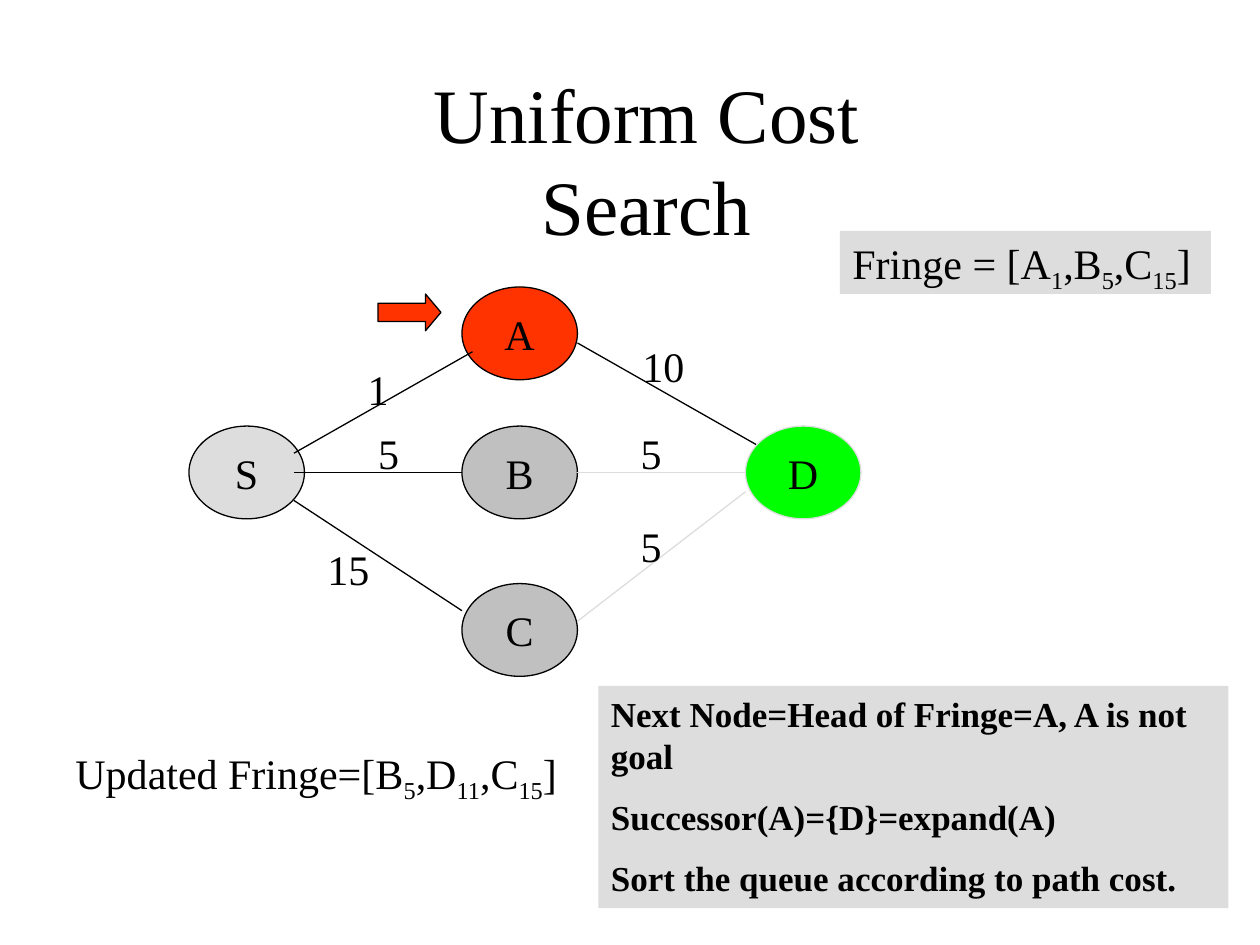
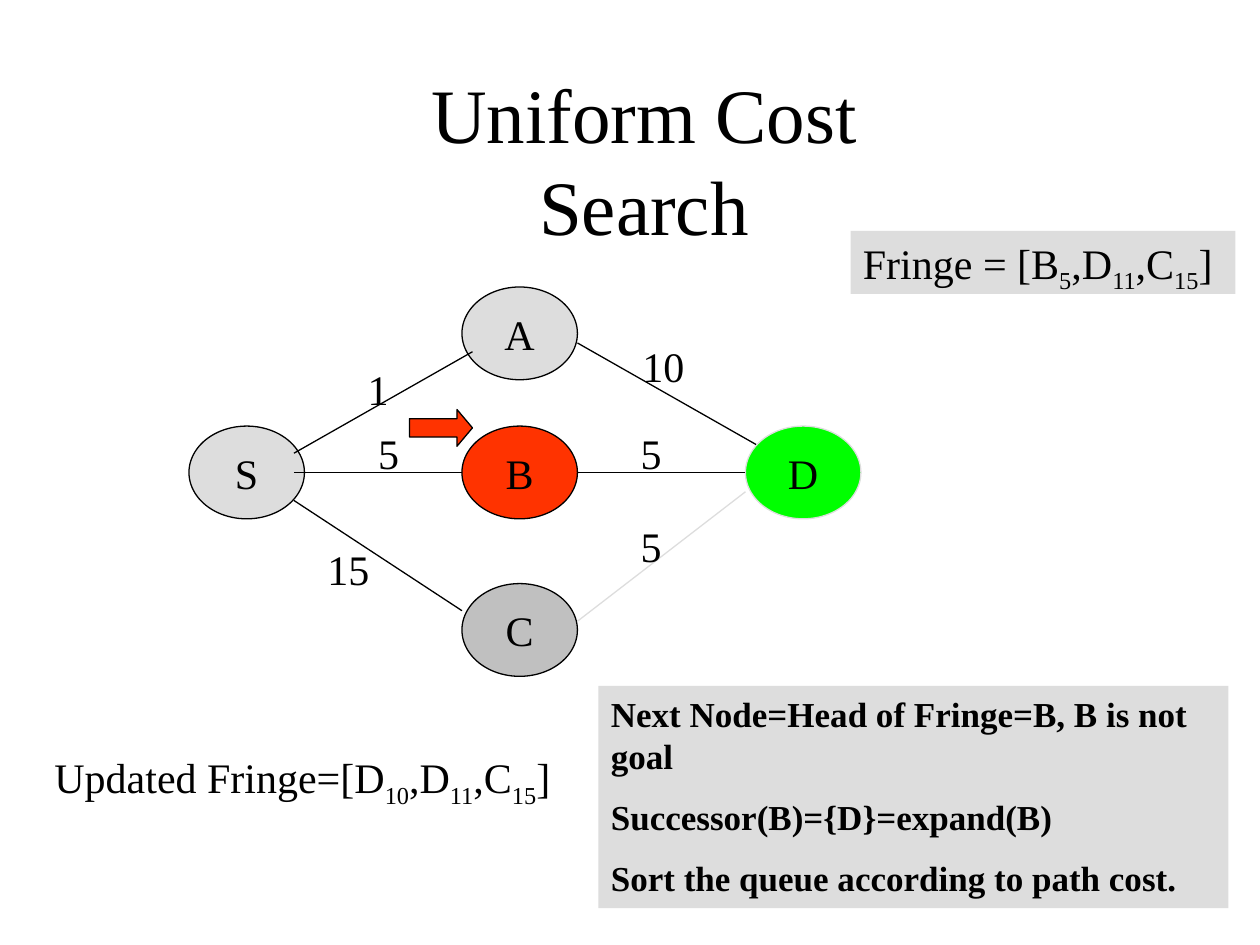
from dataclasses import dataclass
from typing import NamedTuple

from lxml import etree
from pptx import Presentation
from pptx.dml.color import RGBColor
from pptx.enum.shapes import MSO_CONNECTOR, MSO_SHAPE
from pptx.enum.text import MSO_ANCHOR, PP_ALIGN
from pptx.oxml.ns import qn
from pptx.util import Pt

OVAL, RECTANGLE, ARROW = MSO_SHAPE.OVAL, MSO_SHAPE.RECTANGLE, MSO_SHAPE.RIGHT_ARROW
STRAIGHT = MSO_CONNECTOR.STRAIGHT
LEFT, CENTER = PP_ALIGN.LEFT, PP_ALIGN.CENTER
TOP, MIDDLE = MSO_ANCHOR.TOP, MSO_ANCHOR.MIDDLE


@dataclass(frozen=True)
class Theme:
    font: str = "Times New Roman"
    ink: RGBColor = RGBColor(0x00, 0x00, 0x00)
    paper: RGBColor = RGBColor(0xFF, 0xFF, 0xFF)
    pale: RGBColor = RGBColor(0xDD, 0xDD, 0xDD)
    waiting: RGBColor = RGBColor(0xC0, 0xC0, 0xC0)
    active: RGBColor = RGBColor(0xFF, 0x33, 0x00)
    goal: RGBColor = RGBColor(0x00, 0xFF, 0x00)
    title_size: float = 44
    body_size: float = 24
    note_size: float = 20
    note_gap: float = 11
    stroke: float = 0.75


THEME = Theme()


class Box(NamedTuple):
    left: float
    top: float
    width: float
    height: float

    def lengths(self) -> list[Pt]:
        return [Pt(value) for value in self]


class Point(NamedTuple):
    x: float
    y: float


class Edge(NamedTuple):
    source: str
    start: Point
    end: Point
    cost: int
    cost_at: Point


class Entry(NamedTuple):
    """A node waiting in the fringe, with its path cost."""
    node: str
    cost: int


@dataclass(frozen=True)
class Step:
    head: str
    visited: str
    title_left: float
    fringe: list[Entry]
    fringe_box: Box
    updated: list[Entry]
    updated_box: Box
    pointer: Point


NODE_WIDTH, NODE_HEIGHT = 66, 53
START, GOAL = "S", "D"
NODES = {
    START: Point(108, 243.5),
    "A": Point(264, 164),
    "B": Point(264, 243.5),
    "C": Point(264, 333.5),
    GOAL: Point(426, 243.5),
}
EDGES = [
    Edge(START, Point(168, 259), Point(270, 201), 1, Point(203, 204)),
    Edge(START, Point(168, 270), Point(264, 270), 5, Point(209, 241)),
    Edge(START, Point(168, 286), Point(264, 349), 15, Point(180, 307)),
    Edge("A", Point(330, 196), Point(432, 254), 10, Point(360, 191)),
    Edge("B", Point(330, 270), Point(426, 270), 5, Point(359, 241)),
    Edge("C", Point(330, 355), Point(426, 281), 5, Point(359, 294)),
]
NOTES_BOX = Box(342, 392, 360, 127)

STEPS = [
    Step(
        head="A", visited=START, title_left=176.5,
        fringe=[Entry("A", 1), Entry("B", 5), Entry("C", 15)],
        fringe_box=Box(480, 132, 212, 36),
        updated=[Entry("B", 5), Entry("D", 11), Entry("C", 15)],
        updated_box=Box(36, 423.5, 295, 36),
        pointer=Point(216, 168),
    ),
    Step(
        head="B", visited=START + "A", title_left=175,
        fringe=[Entry("B", 5), Entry("D", 11), Entry("C", 15)],
        fringe_box=Box(486, 132, 220, 36),
        updated=[Entry("D", 10), Entry("D", 11), Entry("C", 15)],
        updated_box=Box(24, 426, 304.5, 36),
        pointer=Point(234, 234),
    ),
]


def add_run(paragraph, text: str, size: float, bold: bool = False,
            subscript: bool = False) -> None:
    run = paragraph.add_run()
    run.text = text
    run.font.name = THEME.font
    run.font.size = Pt(size)
    run.font.bold = bold
    run.font.color.rgb = THEME.ink
    if subscript:
        run._r.get_or_add_rPr().set("baseline", "-25000")


def first_paragraph(shape, align=LEFT, anchor=TOP, wrap: bool = False):
    """Set the frame up and return its first paragraph."""
    frame = shape.text_frame
    frame.word_wrap = wrap
    frame.vertical_anchor = anchor
    paragraph = frame.paragraphs[0]
    paragraph.alignment = align
    return paragraph


def add_figure(slide, kind, box: Box, fill: RGBColor, line: RGBColor | None = None):
    figure = slide.shapes.add_shape(kind, *box.lengths())
    figure.shadow.inherit = False
    figure.fill.solid()
    figure.fill.fore_color.rgb = fill
    if line is None:
        figure.line.fill.background()
    else:
        figure.line.color.rgb = line
        figure.line.width = Pt(THEME.stroke)
    return figure


def add_title(slide, left: float) -> None:
    title = slide.shapes.add_textbox(*Box(left, 34.5, 386, 60).lengths())
    add_run(first_paragraph(title, CENTER, wrap=True), "Uniform Cost Search",
            THEME.title_size)


def add_node(slide, name: str, step: Step) -> None:
    if name == step.head:
        fill = THEME.active
    elif name == GOAL:
        fill = THEME.goal
    else:
        fill = THEME.pale if name in step.visited else THEME.waiting
    outline = THEME.pale if name == GOAL else THEME.ink
    box = Box(*NODES[name], NODE_WIDTH, NODE_HEIGHT)
    node = add_figure(slide, OVAL, box, fill, outline)
    add_run(first_paragraph(node, CENTER, MIDDLE), name, THEME.body_size)


def add_edge(slide, edge: Edge, expanded: bool) -> None:
    ends = [Pt(value) for value in (*edge.start, *edge.end)]
    line = slide.shapes.add_connector(STRAIGHT, *ends)
    line.line.color.rgb = THEME.ink if expanded else THEME.pale
    line.line.width = Pt(THEME.stroke)
    etree.SubElement(line._element.spPr, qn("a:effectLst"))


def add_cost(slide, edge: Edge) -> None:
    text = str(edge.cost)
    box = Box(*edge.cost_at, 14.5 + 12 * len(text), 36)
    cost = slide.shapes.add_textbox(*box.lengths())
    add_run(first_paragraph(cost), text, THEME.body_size)


def add_fringe(slide, label: str, entries: list[Entry], box: Box, fill: RGBColor) -> None:
    paragraph = first_paragraph(add_figure(slide, RECTANGLE, box, fill))
    lead = label + "["
    for entry in entries:
        add_run(paragraph, lead + entry.node, THEME.body_size)
        add_run(paragraph, str(entry.cost), THEME.body_size, subscript=True)
        lead = ","
    add_run(paragraph, "]", THEME.body_size)


def add_notes_panel(slide, head: str) -> None:
    panel = add_figure(slide, RECTANGLE, NOTES_BOX, THEME.pale)
    paragraph = first_paragraph(panel, wrap=True)
    lines = [
        f"Next Node=Head of Fringe={head}, {head} is not goal",
        f"Successor({head})={{D}}=expand({head})",
        "Sort the queue according to path cost.",
    ]
    for index, line in enumerate(lines):
        if index:
            paragraph = panel.text_frame.add_paragraph()
            paragraph.alignment = LEFT
        paragraph.space_before = Pt(THEME.note_gap)
        add_run(paragraph, line, THEME.note_size, bold=True)


def add_pointer(slide, at: Point) -> None:
    pointer = add_figure(slide, ARROW, Box(*at, 36, 21), THEME.active, THEME.ink)
    pointer.adjustments[1] = 0.42


def add_step(deck, step: Step) -> None:
    slide = deck.slides.add_slide(deck.slide_layouts[6])
    for name in NODES:
        add_node(slide, name, step)
    for edge in EDGES:
        add_edge(slide, edge, edge.source in step.visited + step.head)
        add_cost(slide, edge)
    add_title(slide, step.title_left)
    add_fringe(slide, "Fringe = ", step.fringe, step.fringe_box, THEME.pale)
    add_notes_panel(slide, step.head)
    add_fringe(slide, "Updated Fringe=", step.updated, step.updated_box, THEME.paper)
    add_pointer(slide, step.pointer)


def main() -> None:
    deck = Presentation()
    deck.slide_width, deck.slide_height = Pt(720), Pt(540)
    for step in STEPS:
        add_step(deck, step)
    deck.save("out.pptx")


if __name__ == "__main__":
    main()
